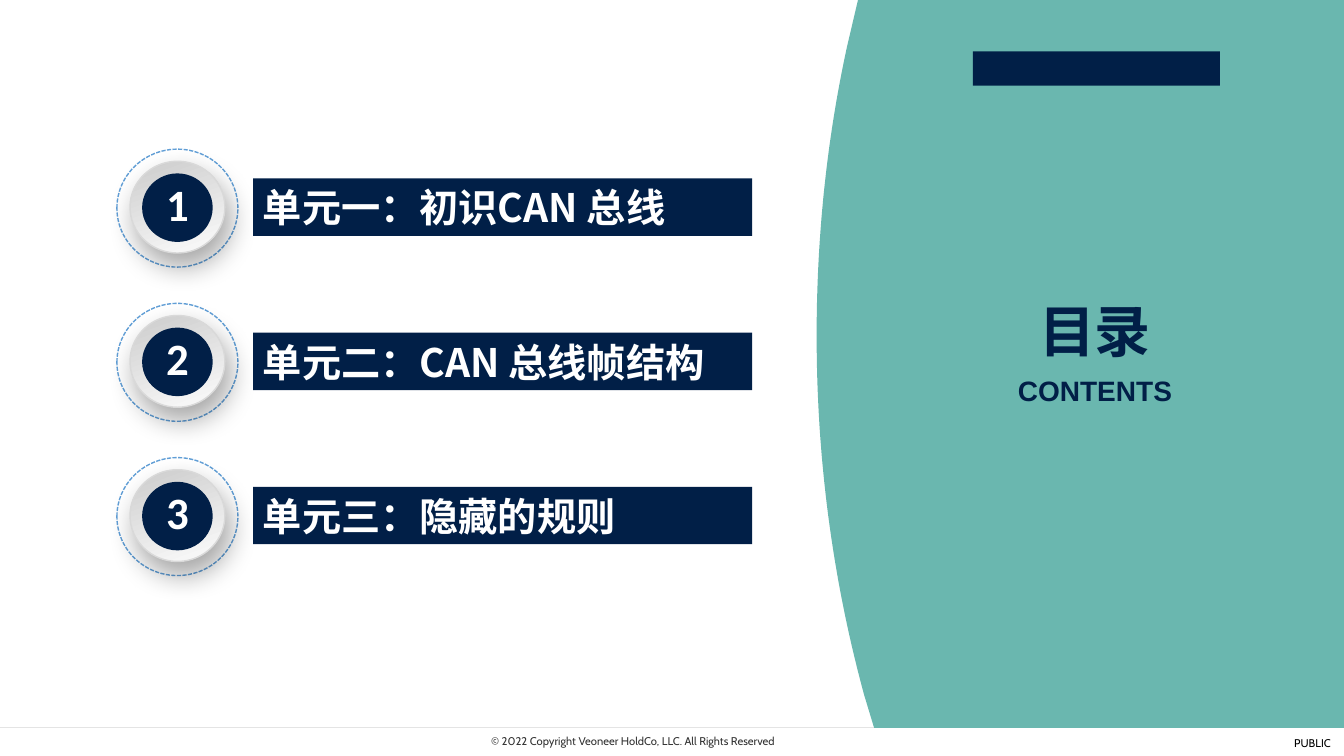
"""Build the contents slide of a CAN bus course."""
from dataclasses import dataclass

from lxml import etree
from pptx import Presentation
from pptx.dml.color import RGBColor
from pptx.enum.dml import MSO_LINE
from pptx.enum.shapes import MSO_CONNECTOR, MSO_SHAPE
from pptx.enum.text import MSO_ANCHOR, PP_ALIGN
from pptx.oxml.ns import qn
from pptx.shapes.autoshape import Shape
from pptx.shapes.shapetree import SlideShapes
from pptx.text.text import TextFrame
from pptx.util import Inches, Pt

OVAL, RECTANGLE = MSO_SHAPE.OVAL, MSO_SHAPE.RECTANGLE
STRAIGHT = MSO_CONNECTOR.STRAIGHT
DASHED = MSO_LINE.SQUARE_DOT
LEFT, CENTER, RIGHT = PP_ALIGN.LEFT, PP_ALIGN.CENTER, PP_ALIGN.RIGHT
TOP, MIDDLE, BOTTOM = MSO_ANCHOR.TOP, MSO_ANCHOR.MIDDLE, MSO_ANCHOR.BOTTOM
Point = tuple[float, float]


@dataclass(frozen=True)
class TextStyle:
    font: str
    size: float
    color: str
    bold: bool = True
    align: PP_ALIGN = LEFT


@dataclass(frozen=True)
class Theme:
    navy: str = "011F47"
    teal: str = "6AB7AF"
    dash: str = "609ED6"
    rim: str = "D9D9D9"
    ring_dark: str = "CCCCCC"
    ring_light: str = "FCFCFC"
    hairline: str = "E4E4E4"
    title: TextStyle = TextStyle("Noto Sans CJK SC", 40, "011F47", align=CENTER)
    subtitle: TextStyle = TextStyle("Arial", 20, "011F47", align=CENTER)
    number: TextStyle = TextStyle("Calibri", 32, "FFFFFF")
    unit: TextStyle = TextStyle("Noto Sans CJK SC", 28, "FFFFFF")
    copyright: TextStyle = TextStyle("Cabin", 8, "323232", False, RIGHT)
    label: TextStyle = TextStyle("Cabin", 8, "000000", False, RIGHT)


@dataclass(frozen=True)
class Box:
    left: float
    top: float
    width: float
    height: float

    def lowered(self, distance: float) -> "Box":
        return Box(self.left, self.top + distance, self.width, self.height)

    def emu(self) -> list[Inches]:
        return [Inches(v) for v in (self.left, self.top, self.width, self.height)]


@dataclass(frozen=True)
class Caption:
    text: str
    box: Box
    style: TextStyle
    side_inset: float = 0
    anchor: MSO_ANCHOR = TOP
    wrap: bool = True


THEME = Theme()
WIDTH, HEIGHT, FOOTER_TOP = 13.33, 7.5, 7.22
UNIT_STEP = 1.53
UNITS = ("单元一：初识CAN 总线", "单元二：CAN 总线帧结构", "单元三：隐藏的规则")
CAPTIONS = (
    Caption("目录", Box(9.19, 2.94, 3.34, 0.6), THEME.title, 0.1),
    Caption("CONTENTS", Box(9.19, 3.71, 3.34, 0.33), THEME.subtitle, 0.1),
    Caption("© 2022 Copyright Veoneer HoldCo, LLC. All Rights Reserved",
            Box(4.79, 7.29, 2.9, 0.13), THEME.copyright, anchor=BOTTOM, wrap=False),
    Caption("PUBLIC", Box(12.57, 7.25, 0.63, 0.25), THEME.label, anchor=MIDDLE),
)


def rgb(color: str) -> RGBColor:
    return RGBColor.from_string(color)


def write(frame: TextFrame, text: str, style: TextStyle) -> None:
    paragraph = frame.paragraphs[0]
    paragraph.text = text
    paragraph.alignment = style.align
    font = paragraph.font
    font.name, font.size, font.bold = style.font, Pt(style.size), style.bold
    font.color.rgb = rgb(style.color)
    defaults = paragraph._p.pPr.find(qn("a:defRPr"))
    etree.SubElement(defaults, qn("a:ea"), typeface=style.font)


def add_caption(shapes: SlideShapes, caption: Caption) -> None:
    frame = shapes.add_textbox(*caption.box.emu()).text_frame
    frame.word_wrap = caption.wrap
    frame.vertical_anchor = caption.anchor
    frame.margin_left = frame.margin_right = Inches(caption.side_inset)
    frame.margin_top = frame.margin_bottom = 0
    write(frame, caption.text, caption.style)


def add_plain(shapes: SlideShapes, kind: MSO_SHAPE, box: Box, color: str | None) -> Shape:
    plain = shapes.add_shape(kind, *box.emu())
    plain.shadow.inherit = False
    plain.line.fill.background()
    if color is None:
        plain.fill.background()
    else:
        plain.fill.solid()
        plain.fill.fore_color.rgb = rgb(color)
    return plain


def outline(shape: Shape, color: str) -> None:
    shape.line.color.rgb = rgb(color)
    shape.line.width = Pt(1)


def add_ring(shapes: SlideShapes, box: Box) -> None:
    ring = add_plain(shapes, OVAL, box, THEME.ring_light)
    ring.fill.gradient()
    ring.fill.gradient_angle = 290
    for stop, color in zip(ring.fill.gradient_stops, (THEME.ring_dark, THEME.ring_light)):
        stop.color.rgb = rgb(color)
    outline(ring, THEME.rim)
    effects = ring._element.spPr.find(qn("a:effectLst"))
    shadow = etree.SubElement(effects, qn("a:outerShdw"), blurRad=str(Pt(20)),
                              dist=str(Pt(10)), dir=str(70 * 60000), rotWithShape="0")
    black = etree.SubElement(shadow, qn("a:srgbClr"), val="000000")
    etree.SubElement(black, qn("a:alpha"), val="34000")


def add_unit(shapes: SlideShapes, index: int, text: str) -> None:
    drop = index * UNIT_STEP
    orbit = add_plain(shapes, OVAL, Box(1.16, 1.48, 1.2, 1.17).lowered(drop), None)
    outline(orbit, THEME.dash)
    orbit.line.dash_style = DASHED
    add_ring(shapes, Box(1.29, 1.6, 0.94, 0.91).lowered(drop))
    add_plain(shapes, OVAL, Box(1.41, 1.72, 0.7, 0.68).lowered(drop), THEME.navy)
    number = shapes.add_textbox(*Box(1.55, 1.7, 0.41, 0.59).lowered(drop).emu())
    number.text_frame.word_wrap = False
    write(number.text_frame, str(index + 1), THEME.number)
    bar = add_plain(shapes, RECTANGLE, Box(2.51, 1.77, 4.95, 0.57).lowered(drop), THEME.navy)
    bar.text_frame.vertical_anchor = MIDDLE
    write(bar.text_frame, text, THEME.unit)


def curve(start: Point, pull: Point, push: Point, end: Point, steps: int = 40) -> list[Point]:
    points = []
    for step in range(1, steps + 1):
        t = step / steps
        weights = ((1 - t) ** 3, 3 * t * (1 - t) ** 2, 3 * t * t * (1 - t), t ** 3)
        corners = (start, pull, push, end)
        points.append((sum(w * c[0] for w, c in zip(weights, corners)),
                       sum(w * c[1] for w, c in zip(weights, corners))))
    return points


def add_panel(shapes: SlideShapes) -> None:
    lower, waist, upper = (8.57, 6.89), (8.1, 3.33), (8.4, 0.47)
    edge = [(WIDTH, 0), (WIDTH, FOOTER_TOP), (8.67, FOOTER_TOP), lower,
            *curve(lower, (8.26, 5.75), (8.1, 4.56), waist),
            *curve(waist, (8.1, 2.35), (8.2, 1.39), upper)]
    builder = shapes.build_freeform(Inches(8.51), 0)
    builder.add_line_segments([(Inches(x), Inches(y)) for x, y in edge])
    panel = builder.convert_to_shape()
    panel.shadow.inherit = False
    panel.fill.solid()
    panel.fill.fore_color.rgb = rgb(THEME.teal)
    panel.line.fill.background()


def main() -> None:
    deck = Presentation()
    deck.slide_width, deck.slide_height = Inches(WIDTH), Inches(HEIGHT)
    shapes = deck.slides.add_slide(deck.slide_layouts[6]).shapes
    footer_rule = shapes.add_connector(STRAIGHT, 0, Inches(FOOTER_TOP),
                                       Inches(WIDTH), Inches(FOOTER_TOP))
    footer_rule.line.color.rgb = rgb(THEME.hairline)
    footer_rule.line.width = Pt(0.5)
    etree.SubElement(footer_rule._element.spPr, qn("a:effectLst"))
    add_panel(shapes)
    add_plain(shapes, RECTANGLE, Box(9.65, 0.51, 2.45, 0.34), THEME.navy)
    for caption in CAPTIONS:
        add_caption(shapes, caption)
    for index, text in enumerate(UNITS):
        add_unit(shapes, index, text)
    deck.save("out.pptx")


if __name__ == "__main__":
    main()
